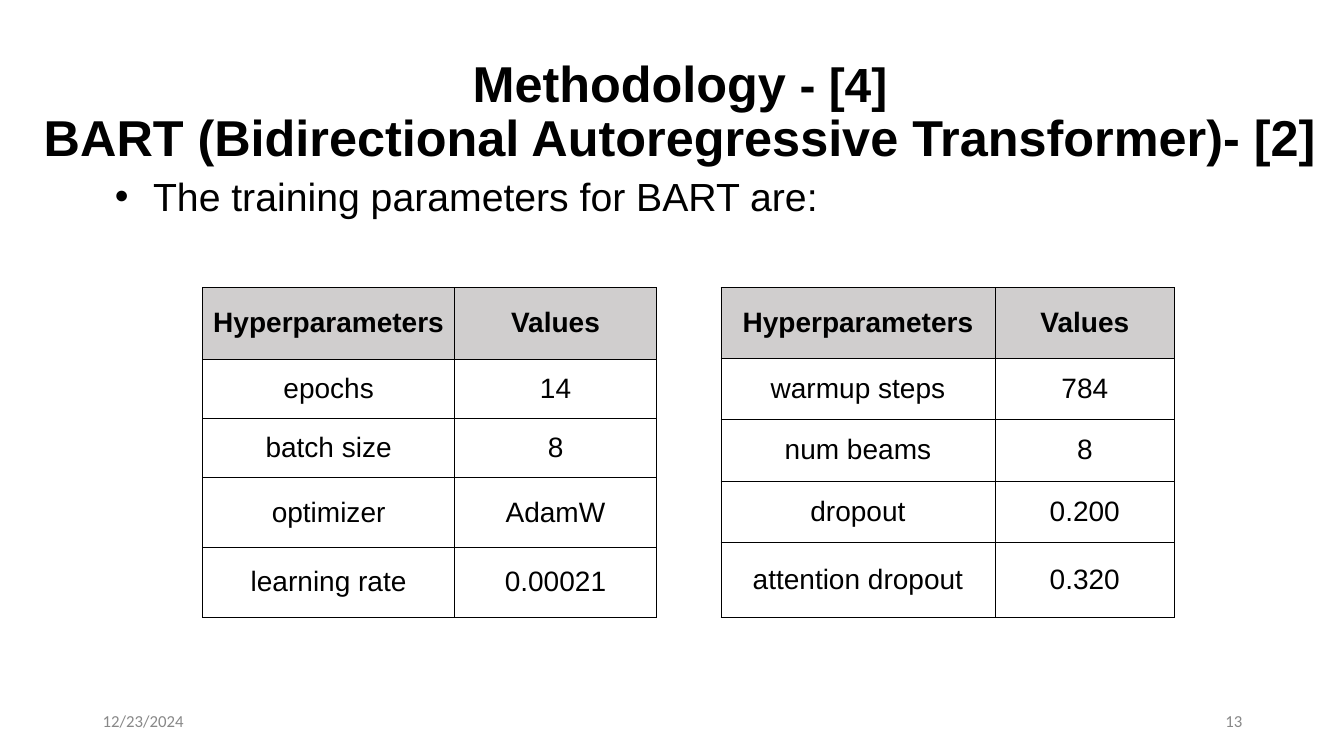
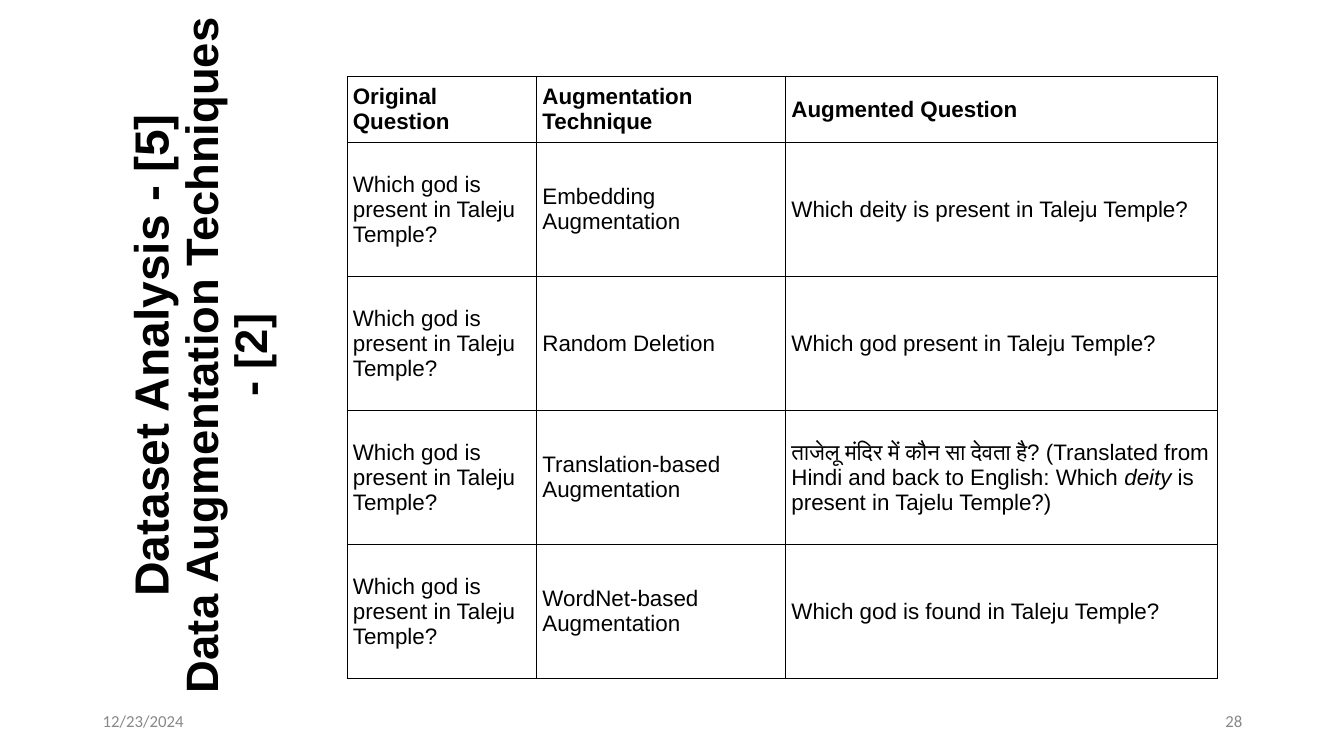
from lxml.etree import SubElement
from pptx import Presentation
from pptx.dml.color import RGBColor
from pptx.enum.text import MSO_ANCHOR as ANCHOR, MSO_AUTO_SIZE as AUTO, PP_ALIGN as ALIGN
from pptx.oxml.ns import qn
from pptx.util import Inches, Pt

# Shared look
COLORS = {"text": "000000", "footer": "888888", "header": "D0CECE", "border": "000000"}
FONT, FOOTER_FONT = "Arial", "Calibri"
DATE = "12/23/2024"
FOOTER_TOP, FOOTER_W, FOOTER_H = 6.95, 3, 0.4
CELL_MARGIN, BORDER_PT = 0.06, 0.48

# Content: a title line is a list of (text, size) runs
QUESTION = "Which god is present in Taleju Temple?"
HEADER = ("Hyperparameters", "Values")
TRANSLATED = [
    ("ताजेलू मंदिर में कौन सा देवता है? (Translated from Hindi and back to English: Which ", {}),
    ("deity", {"italic": True}),
    (" is present in Tajelu Temple?)", {}),
]
SLIDES = [
    {
        "number": 13,
        "title": [[("Methodology", 36), (" - [4]", 34.2)],
                  [("BART (Bidirectional Autoregressive Transformer)- [2]", 36)]],
        "title_box": (0.31, 0.4, 12.87, 1.45),
        "bullet": "The training parameters for BART are:",
        "tables": [
            {"at": (2.01, 2.85), "cols": (2.5, 2), "heights": (0.71, 0.59, 0.59, 0.69, 0.69),
             "size": 20, "align": ALIGN.CENTER, "header_fill": "header",
             "rows": [HEADER, ("epochs", "14"), ("batch size", "8"),
                      ("optimizer", "AdamW"), ("learning rate", "0.00021")]},
            {"at": (7.15, 2.85), "cols": (2.72, 1.78), "heights": (0.7, 0.61, 0.61, 0.61, 0.74),
             "size": 20, "align": ALIGN.CENTER, "header_fill": "header",
             "rows": [HEADER, ("warmup steps", "784"), ("num beams", "8"),
                      ("dropout", "0.200"), ("attention dropout", "0.320")]},
        ],
    },
    {
        "number": 28,
        "title": [[("Dataset Analysis - [5]", 34.2)],
                  [("Data Augmentation Techniques - [2]", 32.4)]],
        "title_box": (-1.52, 2.95, 7.05, 1.15),
        "rotation": 270,
        "tables": [
            {"at": (3.44, 0.76), "cols": (1.88, 2.47, 4.28), "heights": (0.61,) + (1.33,) * 4,
             "size": 16, "align": ALIGN.LEFT, "header_fill": None,
             "rows": [("Original Question", "Augmentation Technique", "Augmented Question"),
                      (QUESTION, "Embedding Augmentation",
                       "Which deity is present in Taleju Temple?"),
                      (QUESTION, "Random Deletion", "Which god present in Taleju Temple?"),
                      (QUESTION, "Translation-based Augmentation", TRANSLATED),
                      (QUESTION, "WordNet-based Augmentation",
                       "Which god is found in Taleju Temple?")]},
        ],
    },
]


def add_text(p, text, size=12, font=FONT, color="text", bold=False, italic=False, align=None):
    """Add one formatted run to a paragraph."""
    if align is not None:
        p.alignment = align
    r = p.add_run()
    r.text = text
    r.font.size, r.font.name = Pt(size), font
    r.font.bold, r.font.italic = bold, italic
    r.font.color.rgb = RGBColor.from_string(COLORS[color])


def add_box(s, box, anchor=ANCHOR.TOP):
    tf = s.shapes.add_textbox(*map(Inches, box)).text_frame
    tf.word_wrap = True
    tf.vertical_anchor = anchor
    return tf.paragraphs[0]


def set_title(s, lines, box, rotation=0):
    sp = s.shapes.title
    sp.left, sp.top, sp.width, sp.height = map(Inches, box)
    sp.rotation = rotation
    tf = sp.text_frame
    tf.word_wrap, tf.auto_size, tf.vertical_anchor = True, AUTO.NONE, ANCHOR.MIDDLE
    for i, runs in enumerate(lines):
        p = tf.add_paragraph() if i else tf.paragraphs[0]
        p.line_spacing = 0.9
        for text, size in runs:
            add_text(p, text, size=size, bold=True, align=ALIGN.CENTER)


def add_bullet(s, text):
    p = add_box(s, (0.92, 1.71, 11.5, 5.24))
    pPr = p._p.get_or_add_pPr()
    pPr.set("marL", str(Inches(0.5)))
    pPr.set("indent", str(Inches(-0.38)))
    SubElement(pPr, qn("a:buFont"), typeface=FONT)
    SubElement(pPr, qn("a:buChar"), char="•")
    p.line_spacing = 0.9
    add_text(p, text, size=28)


def add_footer(s, number):
    for left, text, align in ((0.92, DATE, ALIGN.LEFT), (9.42, str(number), ALIGN.RIGHT)):
        p = add_box(s, (left, FOOTER_TOP, FOOTER_W, FOOTER_H), ANCHOR.MIDDLE)
        add_text(p, text, font=FOOTER_FONT, color="footer", align=align)


def set_borders(cell):
    tcPr = cell._tc.get_or_add_tcPr()
    for side in ("lnL", "lnR", "lnT", "lnB"):
        ln = SubElement(tcPr, qn(f"a:{side}"), w=str(Pt(BORDER_PT)))
        fill = SubElement(ln, qn("a:solidFill"))
        SubElement(fill, qn("a:srgbClr"), val=COLORS["border"])


def add_grid(s, at, cols, heights, size, align, header_fill, rows):
    box = (*at, sum(cols), sum(heights))
    table = s.shapes.add_table(len(rows), len(cols), *map(Inches, box)).table
    table.first_row = table.horz_banding = False
    for column, width in zip(table.columns, cols):
        column.width = Inches(width)
    for i, (height, row) in enumerate(zip(heights, rows)):
        table.rows[i].height = Inches(height)
        for j, content in enumerate(row):
            cell = table.cell(i, j)
            cell.margin_left = cell.margin_right = Inches(CELL_MARGIN)
            cell.margin_top = cell.margin_bottom = Inches(CELL_MARGIN)
            cell.vertical_anchor = ANCHOR.MIDDLE
            set_borders(cell)
            if i == 0 and header_fill:
                cell.fill.solid()
                cell.fill.fore_color.rgb = RGBColor.from_string(COLORS[header_fill])
            else:
                cell.fill.background()
            runs = [(content, {})] if isinstance(content, str) else content
            for text, style in runs:
                add_text(cell.text_frame.paragraphs[0], text, size=size,
                         bold=i == 0, align=align, **style)


def main():
    prs = Presentation()
    prs.slide_width, prs.slide_height = Inches(13.33), Inches(7.5)
    for data in SLIDES:
        s = prs.slides.add_slide(prs.slide_layouts[5])
        set_title(s, data["title"], data["title_box"], data.get("rotation", 0))
        if "bullet" in data:
            add_bullet(s, data["bullet"])
        add_footer(s, data["number"])
        for table in data["tables"]:
            add_grid(s, **table)
    prs.save("out.pptx")


if __name__ == "__main__":
    main()
